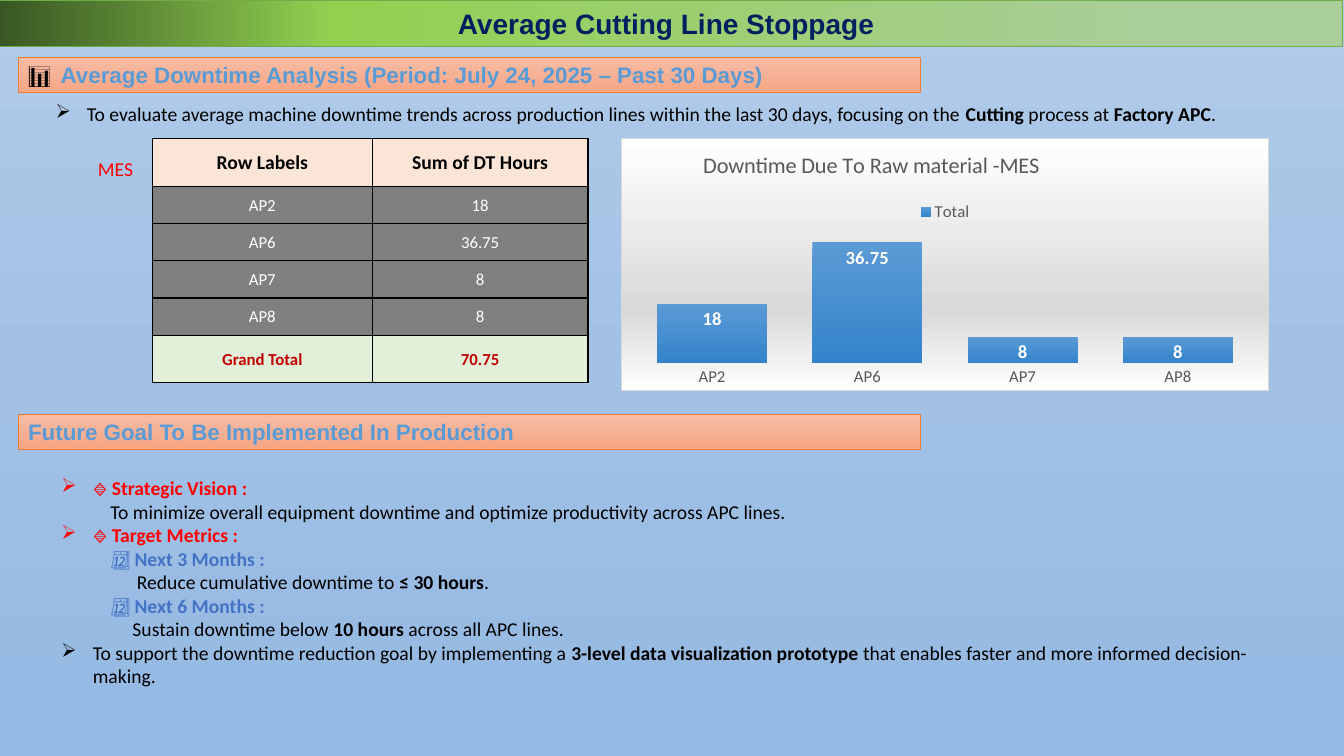
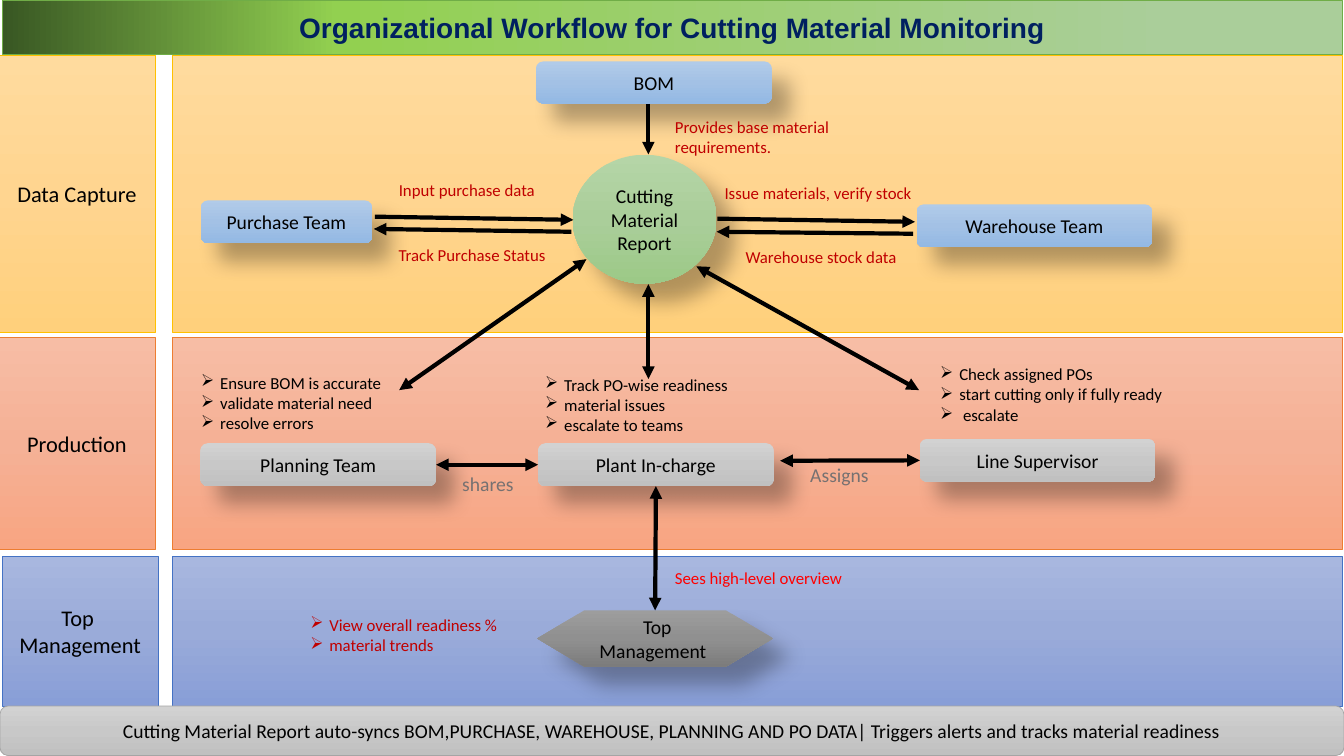
from typing import NamedTuple, Optional

from lxml.etree import SubElement
from pptx import Presentation
from pptx.chart.data import CategoryChartData
from pptx.dml.color import RGBColor
from pptx.enum.chart import XL_CHART_TYPE, XL_LABEL_POSITION, XL_LEGEND_POSITION, XL_TICK_MARK
from pptx.enum.shapes import MSO_CONNECTOR, MSO_SHAPE
from pptx.enum.text import MSO_ANCHOR, MSO_AUTO_SIZE, PP_ALIGN
from pptx.oxml import parse_xml
from pptx.oxml.ns import nsdecls, qn
from pptx.util import Cm, Pt

class Theme:
    body_font, heading_font = "Calibri", "Arial"
    title_size, heading_size, body_size, note_size, value_size, axis_size = 20, 16, 14, 12, 13.3, 10
    black, white, navy, red, crimson = "000000", "FFFFFF", "002060", "FF0000", "C00000"
    indigo, sky, gray, caption = "4472C4", "5B9BD5", "595959", "767171"
    cell_gray, cell_peach, cell_green, chart_border = "808080", "FBE5D6", "E2F0D9", "D9D9D9"
    title_line, gold_line, orange_line, silver_line = "70AD47", "FFC000", "ED7D31", "A5A5A5"
    title_fill = ((13, "AACE9A"), (75, "92D050"), (100, "385723"))
    gold = ((0, "FFDB9E"), (50, "FFD590"), (100, "FFD07C"))
    orange = ((0, "F7BDA5"), (50, "F5B196"), (100, "F8A582"))
    violet = ((0, "A8B7DF"), (50, "9AABD9"), (100, "889ED7"))
    green = ((0, "B5D5A7"), (50, "AACE9A"), (100, "9CC987"))
    blue = ((0, "B1CBE9"), (50, "A3C1E5"), (100, "93B9E4"))
    silver = ((0, "D2D2D2"), (50, "C8C8C8"), (100, "C0C0C0"))
    steel = ((0, "9D9D9D"), (50, "909090"), (100, "7C7C7C"))
    column = ((0, "5B9BD5"), (100, "3483CB"))
    chart_area = ((0, "FFFFFF"), (68, "D9D9D9"), (100, "FFFFFF"))

class Box(NamedTuple):
    left: float
    top: float
    width: float
    height: float

class Line(NamedTuple):
    text: str
    color: str = Theme.black
    bullet: bool = False
    indent: float = 0

class Node(NamedTuple):
    text: str
    box: Box
    fill: tuple
    kind: MSO_SHAPE = MSO_SHAPE.ROUNDED_RECTANGLE

class Arrow(NamedTuple):
    start: tuple
    end: tuple
    both: bool = False
    begin_join: Optional[tuple] = None
    end_join: Optional[tuple] = None

class Label(NamedTuple):
    text: str
    box: Box
    color: str = Theme.crimson
    size: float = Theme.note_size

def lengths(values: tuple) -> list:
    return [Cm(value) for value in values]

def set_font(font, *, size: float, color: str, bold: bool = False, name: str = Theme.body_font) -> None:
    font.name, font.size, font.bold = name, Pt(size), bold
    font.color.rgb = RGBColor.from_string(color)

def write(paragraph, text: str, *, size: float = Theme.body_size, color: str = Theme.black, bold: bool = False,
          font: str = Theme.body_font, align: Optional[PP_ALIGN] = None) -> None:
    run = paragraph.add_run()
    run.text = text
    set_font(run.font, size=size, color=color, bold=bold, name=font)
    if align is not None:
        paragraph.alignment = align

def set_stops(element, stops: tuple) -> None:
    stop_list = element.find(".//" + qn("a:gsLst"))
    for child in list(stop_list):
        stop_list.remove(child)
    for position, color in stops:
        SubElement(SubElement(stop_list, qn("a:gs"), pos=str(position * 1000)), qn("a:srgbClr"), val=color)

def fill_gradient(fill, element, stops: tuple, angle: float = 270) -> None:
    fill.gradient()
    fill.gradient_angle = angle
    set_stops(element, stops)

def add_shadow(shape) -> None:
    shape.element.find(".//" + qn("a:effectLst")).append(parse_xml(
        f'<a:outerShdw {nsdecls("a")} blurRad="{Pt(15)}" dist="{Pt(18)}" dir="2700000" algn="tl" '
        'rotWithShape="0"><a:srgbClr val="000000"><a:alpha val="30000"/></a:srgbClr></a:outerShdw>'))

def format_shape(shape, stops: tuple, line: Optional[str] = None, angle: float = 270) -> None:
    shape.shadow.inherit = False
    fill_gradient(shape.fill, shape.element, stops, angle)
    if line:
        shape.line.color.rgb = RGBColor.from_string(line)
        shape.line.width = Pt(0.5)
    else:
        shape.line.fill.background()
    shape.text_frame.word_wrap = True
    shape.text_frame.vertical_anchor = MSO_ANCHOR.MIDDLE

def add_panel(slide, box: Box, stops: tuple, line: Optional[str] = None, kind: MSO_SHAPE = MSO_SHAPE.RECTANGLE):
    shape = slide.shapes.add_shape(kind, *lengths(box))
    format_shape(shape, stops, line)
    return shape

def add_title_slide(presentation, text: str, box: Box):
    slide = presentation.slides.add_slide(presentation.slide_layouts[5])
    title = slide.shapes.title
    title.left, title.top, title.width, title.height = lengths(box)
    format_shape(title, Theme.title_fill, Theme.title_line, 180)
    title.text_frame.auto_size = MSO_AUTO_SIZE.NONE
    write(title.text_frame.paragraphs[0], text, size=Theme.title_size, color=Theme.navy, bold=True,
          font=Theme.heading_font, align=PP_ALIGN.CENTER)
    return slide

def write_lines(frame, lines: list, size: float = Theme.body_size, hanging: float = 0.79) -> None:
    frame.word_wrap = True
    for index, line in enumerate(lines):
        paragraph = frame.add_paragraph() if index else frame.paragraphs[0]
        properties = paragraph._p.get_or_add_pPr()
        properties.set("marL", str(Cm(hanging if line.bullet else line.indent)))
        if line.bullet:
            properties.set("indent", str(-Cm(hanging)))
            SubElement(properties, qn("a:buFont"), typeface="Wingdings", charset="2")
            SubElement(properties, qn("a:buChar"), char="Ø")
        for part, text in enumerate(line.text.split("**")):
            if text:
                write(paragraph, text, size=size, color=line.color, bold=part % 2 == 1)

def add_lines(slide, box: Box, lines: list, size: float = Theme.body_size) -> None:
    write_lines(slide.shapes.add_textbox(*lengths(box)).text_frame, lines, size)

def write_list(frame, items: tuple, color: str = Theme.black) -> None:
    write_lines(frame, [Line(item, color, True) for item in items], Theme.note_size, 0.48)

def add_heading(slide, top: float, text: str, icon: str = "") -> None:
    shape = add_panel(slide, Box(0.46, top, 22.73, 0.88), Theme.orange, Theme.orange_line)
    paragraph = shape.text_frame.paragraphs[0]
    paragraph.alignment = PP_ALIGN.LEFT
    if icon:
        tabs = SubElement(paragraph._p.get_or_add_pPr(), qn("a:tabLst"))
        SubElement(tabs, qn("a:tab"), pos=str(Cm(0.82)), algn="l")
        write(paragraph, icon + "\t", size=Theme.heading_size)
    write(paragraph, text, size=Theme.heading_size, color=Theme.sky, bold=True, font=Theme.heading_font)

def add_plain_table(slide, box: Box, row_count: int, column_count: int, border: Optional[str] = None):
    table = slide.shapes.add_table(row_count, column_count, *lengths(box)).table
    table.first_row = table.horz_banding = False
    for cell in table.iter_cells():
        cell.vertical_anchor = MSO_ANCHOR.MIDDLE
        for side in ("a:lnL", "a:lnR", "a:lnT", "a:lnB"):
            line = SubElement(cell._tc.get_or_add_tcPr(), qn(side), w=str(Pt(1)))
            paint = SubElement(line, qn("a:solidFill" if border else "a:noFill"))
            if border:
                SubElement(paint, qn("a:srgbClr"), val=border)
        cell.fill.background()
    return table

def add_downtime_table(slide, downtime: dict) -> None:
    rows = [("Row Labels", "Sum of DT Hours"), *((name, f"{hours:g}") for name, hours in downtime.items()),
            ("Grand Total", f"{sum(downtime.values()):g}")]
    styles = [(Theme.cell_peach, Theme.body_size, Theme.black, True),
              *[(Theme.cell_gray, Theme.note_size, Theme.white, False)] * len(downtime),
              (Theme.cell_green, Theme.note_size, Theme.crimson, True)]
    table = add_plain_table(slide, Box(3.84, 3.5, 10.98, 6.14), len(rows), 2, Theme.black)
    table.columns[0].width, table.columns[1].width = Cm(5.54), Cm(5.44)
    for row, texts, (fill, size, color, bold) in zip(table.rows, rows, styles):
        row.height = Cm(1.19 if bold else 0.94)
        for cell, text in zip(row.cells, texts):
            cell.fill.solid()
            cell.fill.fore_color.rgb = RGBColor.from_string(fill)
            cell.margin_left = cell.margin_right = cell.margin_top = Cm(0.03)
            cell.margin_bottom = Cm(0)
            write(cell.text_frame.paragraphs[0], text, size=size, color=color, bold=bold, align=PP_ALIGN.CENTER)

def place_chart_part(part, index: int, **places: float) -> None:
    for layout in part.findall(qn("c:layout")):
        part.remove(layout)
    inner = '<c:layoutTarget val="inner"/>' if part.tag == qn("c:plotArea") else ""
    values = "".join(f'<c:{name} val="{value}"/>' for name, value in places.items())
    part.insert(index, parse_xml(f'<c:layout {nsdecls("c")}><c:manualLayout>{inner}<c:xMode val="edge"/>'
                                 f'<c:yMode val="edge"/>{values}</c:manualLayout></c:layout>'))

def add_downtime_chart(slide, downtime: dict) -> None:
    data = CategoryChartData()
    data.categories = list(downtime)
    data.add_series("Total", list(downtime.values()))
    box = Box(15.65, 3.48, 16.33, 6.38)
    chart = slide.shapes.add_chart(XL_CHART_TYPE.COLUMN_CLUSTERED, *lengths(box), data).chart
    set_font(chart.font, size=Theme.axis_size, color=Theme.black)
    plot = chart.plots[0]
    plot.gap_width, plot.vary_by_categories = 41, False
    fill_gradient(plot.series[0].format.fill, chart.element, Theme.column)
    labels = plot.series[0].data_labels
    labels.show_value, labels.position = True, XL_LABEL_POSITION.INSIDE_END
    set_font(labels.font, size=Theme.value_size, color=Theme.white, bold=True)
    value_axis, category_axis = chart.value_axis, chart.category_axis
    value_axis.minimum_scale, value_axis.maximum_scale = 0, 40
    value_axis.has_major_gridlines = value_axis.visible = False
    category_axis.major_tick_mark = XL_TICK_MARK.NONE
    category_axis.format.line.fill.background()
    chart.has_title = chart.has_legend = True
    write(chart.chart_title.text_frame.paragraphs[0], "Downtime Due To Raw material -MES",
          size=Theme.heading_size, color=Theme.gray)
    chart.legend.position, chart.legend.include_in_layout = XL_LEGEND_POSITION.TOP, False
    for font in (category_axis.tick_labels.font, chart.legend.font):
        set_font(font, size=Theme.note_size, color=Theme.gray)
    body = chart.element.find(qn("c:chart"))
    place_chart_part(body.find(qn("c:title")), 1, x=0.12, y=0.03)
    place_chart_part(body.find(qn("c:legend")), 1, x=0.45, y=0.24, w=0.1, h=0.1)
    place_chart_part(body.find(qn("c:plotArea")), 0, x=0.02, y=0.37, w=0.96, h=0.52)
    area = parse_xml(f'<c:spPr {nsdecls("c", "a")}><a:gradFill><a:gsLst/><a:lin ang="5400000" scaled="0"/>'
                     f'</a:gradFill><a:ln w="{Pt(0.75)}"><a:solidFill><a:srgbClr val="{Theme.chart_border}"/>'
                     '</a:solidFill></a:ln></c:spPr>')
    set_stops(area, Theme.chart_area)
    body.addnext(area)

def add_arrow(slide, arrow: Arrow, nodes: dict) -> None:
    connector = slide.shapes.add_connector(MSO_CONNECTOR.STRAIGHT, *lengths(arrow.start + arrow.end))
    connector.line.color.rgb = RGBColor.from_string(Theme.black)
    connector.line.width = Pt(3)
    for tag in ("a:headEnd", "a:tailEnd") if arrow.both else ("a:tailEnd",):
        SubElement(connector.element.find(".//" + qn("a:ln")), qn(tag), type="triangle")
    SubElement(connector.element.spPr, qn("a:effectLst"))
    for join, connect in ((arrow.begin_join, connector.begin_connect), (arrow.end_join, connector.end_connect)):
        if join:
            connect(nodes[join[0]], join[1])

def build_downtime_slide(presentation) -> None:
    slide = add_title_slide(presentation, "Average Cutting Line Stoppage ", Box(-0.05, 0, 33.87, 1.17))
    fill_gradient(slide.background.fill, slide.element.find(".//" + qn("p:bg")), Theme.blue)
    downtime = {"AP2": 18, "AP6": 36.75, "AP7": 8, "AP8": 8}
    add_downtime_table(slide, downtime)
    add_downtime_chart(slide, downtime)
    add_heading(slide, 1.45, "Average Downtime Analysis (Period: July 24, 2025 – Past 30 Days)", "📊")
    add_heading(slide, 10.44, "Future Goal To Be Implemented In Production")
    add_lines(slide, Box(2.22, 3.82, 1.6, 0.86), [Line("MES", Theme.red)])
    add_lines(slide, Box(1.15, 2.44, 30.56, 0.86), [Line(
        "To evaluate average machine downtime trends across production lines within the last 30 days, "
        "focusing on the **Cutting** process at **Factory APC**.", bullet=True)])
    add_lines(slide, Box(1.3, 11.87, 31.22, 5.64), [
        Line("**🔹 Strategic Vision :**", Theme.red, True),
        Line("To minimize overall equipment downtime and optimize productivity across APC lines.", indent=1.23),
        Line("**🔹 Target Metrics :**", Theme.red, True),
        Line("📆 **Next 3 Months :**", Theme.indigo, indent=1.23),
        Line("Reduce cumulative downtime to **≤ 30 hours**.", indent=1.9),
        Line("📆 **Next 6 Months :**", Theme.indigo, indent=1.23),
        Line("Sustain downtime below **10 hours** across all APC lines.", indent=1.79),
        Line("To support the downtime reduction goal by implementing a **3-level data visualization prototype** "
             "that enables faster and more informed decision-making.", bullet=True)])

def build_workflow_slide(presentation) -> None:
    slide = add_title_slide(presentation, "Organizational Workflow for Cutting Material Monitoring",
                            Box(0.05, 0, 33.78, 1.37))
    for names, left, top, height, stops, line in (
            (("Data Capture",), -0.03, 1.4, 6.97, Theme.gold, Theme.gold_line),
            (("Production",), -0.03, 8.51, 5.33, Theme.orange, Theme.orange_line),
            (("Top ", "Management"), 0.05, 14.02, 3.78, Theme.violet, Theme.indigo)):
        frame = add_panel(slide, Box(left, top, 3.94, height), stops, line).text_frame
        for index, name in enumerate(names):
            write(frame.add_paragraph() if index else frame.paragraphs[0], name, size=Theme.heading_size,
                  align=PP_ALIGN.CENTER)
        add_panel(slide, Box(4.34, top, 29.48, height), stops, line)
    nodes = {}
    for node in (Node("Cutting Material Report", Box(14.43, 3.9, 3.63, 3.25), Theme.green, MSO_SHAPE.OVAL),
                 Node("Purchase Team", Box(5.06, 5.05, 4.32, 1.08), Theme.blue),
                 Node("Warehouse Team", Box(23.1, 5.15, 5.94, 1.08), Theme.blue),
                 Node("BOM", Box(13.51, 1.55, 5.94, 1.06), Theme.blue),
                 Node("Planning Team", Box(5.05, 11.17, 5.94, 1.08), Theme.silver),
                 Node("Plant In-charge", Box(13.56, 11.17, 5.94, 1.08), Theme.silver),
                 Node("Line Supervisor", Box(23.18, 11.06, 5.94, 1.08), Theme.silver),
                 Node(" Top Management ", Box(13.54, 15.38, 5.94, 1.42), Theme.steel,
                      MSO_SHAPE.FLOWCHART_PREPARATION)):
        nodes[node.text] = shape = add_panel(slide, node.box, node.fill, kind=node.kind)
        add_shadow(shape)
        write(shape.text_frame.paragraphs[0], node.text, align=PP_ALIGN.CENTER)
    for arrow in (Arrow((16.34, 7.16), (16.34, 9.55), True), Arrow((14.78, 6.53), (10.06, 9.83), True),
                  Arrow((17.55, 6.71), (23.16, 9.83), True), Arrow((16.34, 2.62), (16.34, 3.89)),
                  Arrow((9.45, 5.46), (14.45, 5.54)), Arrow((14.4, 5.84), (9.42, 5.77)),
                  Arrow((18.08, 5.51), (23.06, 5.59)), Arrow((23.01, 5.89), (18.06, 5.84)),
                  Arrow((10.99, 11.71), (13.56, 11.71), True, ("Planning Team", 3), ("Plant In-charge", 1)),
                  Arrow((19.66, 11.61), (23.18, 11.6), True, None, ("Line Supervisor", 1)),
                  Arrow((16.53, 12.25), (16.51, 15.38), True, ("Plant In-charge", 2), (" Top Management ", 0))):
        add_arrow(slide, arrow, nodes)
    for label in (Label("Issue materials, verify stock", Box(18.01, 4.47, 5.6, 0.76)),
                  Label(" Track Purchase Status", Box(9.7, 6.05, 4.7, 0.76)),
                  Label("Sees high-level overview", Box(16.76, 14.19, 7.26, 0.76), Theme.red),
                  Label("Provides base material requirements.", Box(16.76, 2.82, 4.83, 1.27)),
                  Label("Input purchase data", Box(9.8, 4.41, 4.3, 0.76)),
                  Label("Warehouse stock data", Box(18.54, 6.1, 4.7, 0.76)),
                  Label("Assigns", Box(20.17, 11.53, 2.3, 0.86), Theme.caption, Theme.body_size),
                  Label("shares", Box(11.4, 11.76, 2.1, 0.86), Theme.caption, Theme.body_size)):
        add_lines(slide, label.box, [Line(label.text, label.color)], label.size)
    for box, items, color in (
            (Box(4.82, 9.27, 5.23, 1.8), ("Ensure BOM is accurate", "validate material need", "resolve errors"),
             Theme.black),
            (Box(13.49, 9.31, 7.67, 1.8), ("Track PO-wise readiness", "material issues", "escalate to teams"),
             Theme.black),
            (Box(7.57, 15.37, 5.77, 1.27), ("View overall readiness %", "material trends"), Theme.crimson)):
        write_list(slide.shapes.add_textbox(*lengths(box)).text_frame, items, color)
    duties = add_plain_table(slide, Box(23.44, 8.76, 8.51, 2.39), 1, 1)
    write_list(duties.cell(0, 0).text_frame,
               ("Check assigned POs", "start cutting only if fully ready", " escalate"))
    footer = add_panel(slide, Box(0, 17.79, 33.87, 1.25), Theme.silver, Theme.silver_line,
                       MSO_SHAPE.ROUNDED_RECTANGLE)
    write(footer.text_frame.paragraphs[0], "Cutting Material Report auto-syncs BOM,PURCHASE, WAREHOUSE, PLANNING "
          "AND PO DATA| Triggers alerts and tracks material readiness", align=PP_ALIGN.CENTER)

def main() -> None:
    presentation = Presentation()
    presentation.slide_width, presentation.slide_height = Cm(33.87), Cm(19.05)
    build_downtime_slide(presentation)
    build_workflow_slide(presentation)
    presentation.save("out.pptx")

if __name__ == "__main__":
    main()
